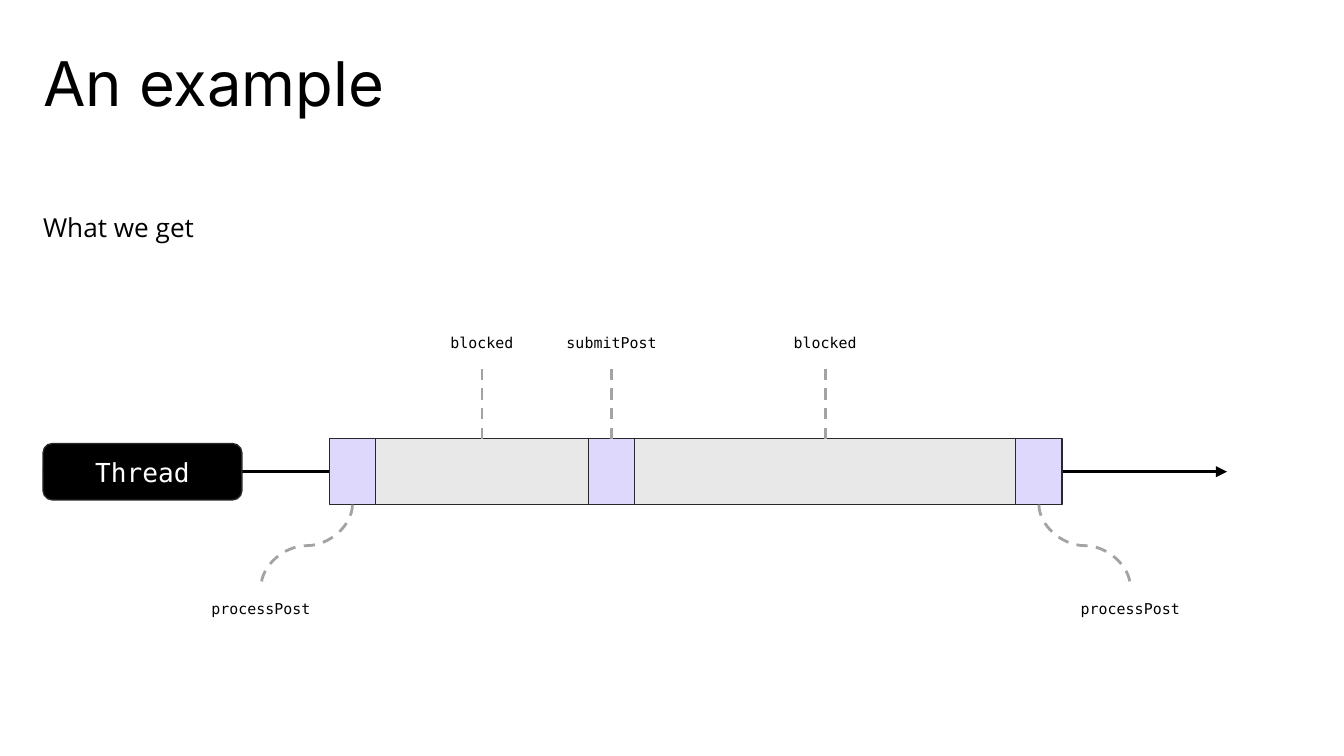
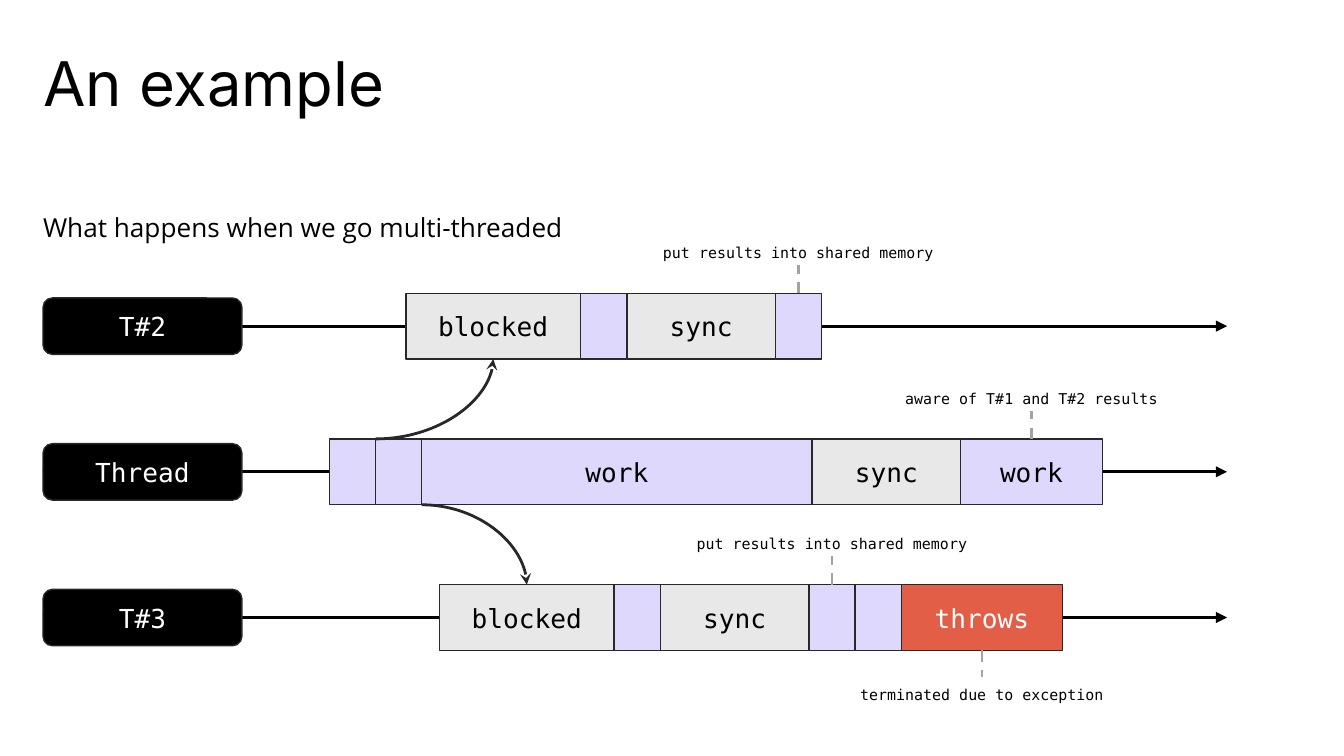
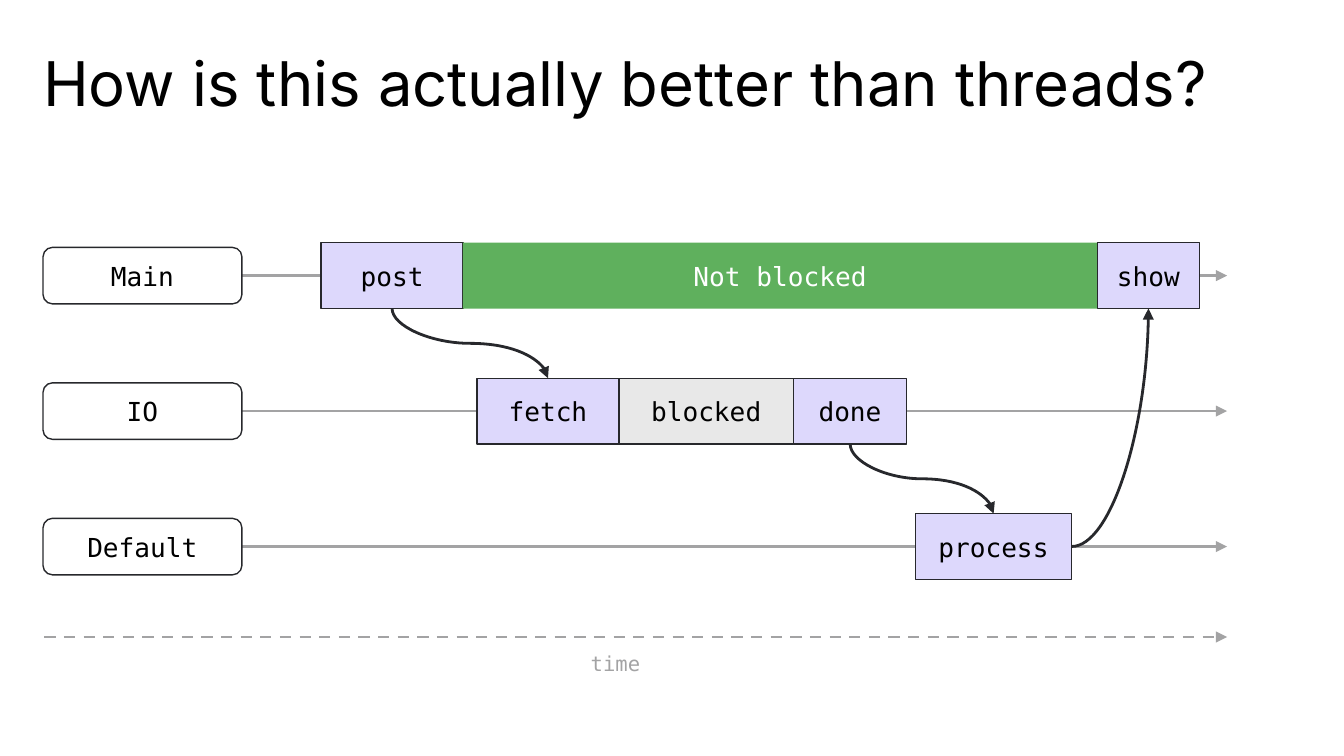
from dataclasses import dataclass

from lxml.etree import SubElement
from pptx import Presentation
from pptx.dml.color import RGBColor
from pptx.enum.dml import MSO_LINE
from pptx.enum.shapes import MSO_CONNECTOR, MSO_SHAPE
from pptx.enum.text import MSO_ANCHOR, MSO_AUTO_SIZE, PP_ALIGN
from pptx.oxml.ns import qn
from pptx.util import Inches, Pt

COLORS = {"ink": "000000", "paper": "FFFFFF", "edge": "27282C", "grey": "A3A3A4",
          "lilac": "DDD8FC", "mist": "E8E8E8", "red": "E35E47", "green": "5FB05D"}
MONO, HEAD, BODY = "DejaVu Sans Mono", "Inter", "Open Sans"

# Square grid: 100 columns across the slide, rows of the same size
CELL = Inches(10) / 100
LEFT, LANE_W, LANE_H = 3.2, 88.1, 4.9
NAME_W, NAME_H = 14.8, 4.2
TICK, SYNC, CALL, BLOCKED = 3.44, 11.05, 10.55, 13

# Kind of work: fill, text colour, outline
KINDS = {"run": ("lilac", "ink", "edge"), "wait": ("mist", "ink", "edge"),
         "fail": ("red", "paper", "edge"), "free": ("green", "paper", None)}
# Lane theme: name fill, name text, line
DARK, LIGHT = ("ink", "paper", "ink"), ("paper", "ink", "grey")


@dataclass
class Box:
    x: float
    y: float
    w: float
    h: float

    @property
    def cx(self):
        return self.x + self.w / 2

    @property
    def cy(self):
        return self.y + self.h / 2

    @property
    def right(self):
        return self.x + self.w

    @property
    def bottom(self):
        return self.y + self.h

    def emu(self):
        return [grid(v) for v in (self.x, self.y, self.w, self.h)]


@dataclass
class NoteStyle:
    stem: float
    w: float
    h: float
    pads: tuple = (1, 1, 1, 1)
    spacing: float = 1
    below: bool = False
    shift: float = 0


def grid(n):
    return round(n * CELL)


def rgb(name):
    return RGBColor.from_string(COLORS[name])


def write(shape, text, size, color, font=MONO, align=PP_ALIGN.CENTER,
          anchor=MSO_ANCHOR.TOP, pads=(1, 1, 1, 1), spacing=1):
    tf = shape.text_frame
    tf.word_wrap = True
    tf.auto_size = MSO_AUTO_SIZE.NONE
    tf.vertical_anchor = anchor
    tf.margin_left, tf.margin_top, tf.margin_right, tf.margin_bottom = map(grid, pads)
    p = tf.paragraphs[0]
    p.alignment, p.line_spacing = align, spacing
    r = p.add_run()
    r.text = text
    r.font.size, r.font.name, r.font.color.rgb = Pt(size), font, rgb(color)
    return p


def text_box(s, box, text, size, color="ink", **style):
    return write(s.shapes.add_textbox(*box.emu()), text, size, color, **style)


def block(s, box, text, fill, color, edge="edge", kind=MSO_SHAPE.RECTANGLE):
    sp = s.shapes.add_shape(kind, *box.emu())
    sp.shadow.inherit = False
    sp.fill.solid()
    sp.fill.fore_color.rgb = rgb(fill)
    if edge:
        sp.line.color.rgb, sp.line.width = rgb(edge), Pt(0.75)
    else:
        sp.line.fill.background()
    if text:
        write(sp, text, 14, color, anchor=MSO_ANCHOR.MIDDLE)


def line(s, start, end, color, kind=MSO_CONNECTOR.STRAIGHT, dash=False, tail=None):
    c = s.shapes.add_connector(kind, *[grid(v) for v in (*start, *end)])
    c.line.color.rgb, c.line.width = rgb(color), Pt(1.5)
    if dash:
        c.line.dash_style = MSO_LINE.DASH
    props = c._element.spPr
    if tail:
        SubElement(props.find(qn("a:ln")), qn("a:tailEnd"), type=tail)
    SubElement(props, qn("a:effectLst"))
    return props


def s_curve(s, start, end, color, **style):
    """S-shaped connector that leaves and arrives vertically, going down."""
    (x1, y1), (x2, y2) = start, end
    cx, cy = (x1 + x2) / 2, (y1 + y2) / 2
    half_w, half_h = (y2 - y1) / 2, abs(x2 - x1) / 2
    side = 1 if x2 > x1 else -1
    props = line(s, (cx + side * half_w, cy - half_h), (cx - side * half_w, cy + half_h),
                 color, MSO_CONNECTOR.CURVE, **style)
    props.find(qn("a:xfrm")).set("rot", str((270 if side > 0 else 90) * 60000))


def quarter_curve(s, start, end, tail):
    """Connector that leaves sideways and arrives vertically."""
    props = line(s, start, end, "edge", MSO_CONNECTOR.CURVE, tail=tail)
    props.find(qn("a:prstGeom")).set("prst", "curvedConnector2")


def lane(s, box, name, theme, start, steps):
    """Named timeline with touching blocks; returns the boxes of the blocks."""
    fill, color, stroke = theme
    line(s, (box.x + NAME_W, box.cy), (box.right, box.cy), stroke, tail="triangle")
    block(s, Box(box.x, box.cy - NAME_H / 2, NAME_W, NAME_H), name, fill, color,
          kind=MSO_SHAPE.ROUNDED_RECTANGLE)
    boxes, x = [], box.x + start
    for kind, width, text in steps:
        boxes.append(Box(x, box.y, width, box.h))
        block(s, boxes[-1], text, *KINDS[kind])
        x += width
    return boxes


def lanes(s, top, step, theme, rows):
    return [lane(s, Box(LEFT, top + i * step, LANE_W, LANE_H), name, theme, start, steps)
            for i, (name, start, steps) in enumerate(rows)]


def note(s, target, text, style):
    """Small label joined to a block by a dashed stem."""
    edge = target.bottom if style.below else target.y
    tip = edge + style.stem if style.below else edge - style.stem
    x = target.cx + style.shift
    draw = s_curve if style.shift else line
    draw(s, (target.cx, edge), (x, tip), "grey", dash=True)
    top = tip if style.below else tip - style.h
    text_box(s, Box(x - style.w / 2, top, style.w, style.h), text, 8,
             pads=style.pads, spacing=style.spacing)


def new_slide(prs, title, subtitle=None):
    s = prs.slides.add_slide(prs.slide_layouts[5])
    sp = s.shapes.title
    sp.left, sp.top, sp.width, sp.height = Box(LEFT, 3.2, 93, 5).emu()
    write(sp, title, 33, "ink", HEAD, PP_ALIGN.LEFT, pads=(0, 1, 0, 1), spacing=0.85)
    if subtitle:
        p = text_box(s, Box(LEFT, 14.6, 91.1, 5.9), subtitle, 14, font=BODY,
                     align=PP_ALIGN.LEFT, pads=(0, 0.8, 0, 0), spacing=1.15)
        p.space_after = Pt(4)
    return s


def single_thread_slide(prs):
    s = new_slide(prs, "An example", "What we get")
    tick = ("run", TICK, "")
    [blocks] = lanes(s, 32.65, 0, DARK, [
        ("Thread", 21.3, [tick, ("wait", 15.85, ""), tick, ("wait", 28.35, ""), tick])])
    above = NoteStyle(5.4, 9.2, 3.4)
    for target, text in zip(blocks[1:4], ("blocked", "submitPost", "blocked")):
        note(s, target, text, above)
    for target, shift in ((blocks[0], -6.8), (blocks[-1], 6.8)):
        note(s, target, "processPost", NoteStyle(6.1, 10.1, 3.4, below=True, shift=shift))


def multi_thread_slide(prs):
    s = new_slide(prs, "An example", "What happens when we go multi-threaded")
    tick, sync = ("run", TICK, ""), ("wait", SYNC, "sync")
    blocked = ("wait", BLOCKED, "blocked")
    second, main, third = lanes(s, 21.82, 10.84, DARK, [
        ("T#2", 27, [blocked, tick, sync, tick]),
        ("Thread", 21.3, [tick, tick, ("run", 29.05, "work"), sync, ("run", CALL, "work")]),
        ("T#3", 29.5, [blocked, tick, sync, tick, tick, ("fail", 12, "throws")])])

    above = NoteStyle(2.1, 27.5, 2.8, (1, 1, 1, 0.4), 1.15)
    below = NoteStyle(2, 27.5, 2.2, (1, 0.4, 1, 0.4), 1.15, below=True)
    note(s, second[3], "put results into shared memory", above)
    note(s, main[4], "aware of T#1 and T#2 results", above)
    note(s, third[3], "put results into shared memory", above)
    note(s, third[5], "terminated due to exception", below)

    # Starts of the two extra threads
    quarter_curve(s, (main[1].x, main[1].y), (second[0].cx, second[0].bottom), "stealth")
    quarter_curve(s, (main[2].x, main[2].bottom), (third[0].cx, third[0].y), "stealth")


def dispatcher_slide(prs):
    s = new_slide(prs, "How is this actually better than threads?")
    main, io_lane, default = lanes(s, 18.06, 10.08, LIGHT, [
        ("Main", 20.7, [("run", CALL, "post"), ("free", 47.2, "Not blocked"),
                        ("run", 7.6, "show")]),
        ("IO", 32.3, [("run", CALL, "fetch"), ("wait", BLOCKED, "blocked"),
                      ("run", 8.4, "done")]),
        ("Default", 64.9, [("run", 11.65, "process")])])

    # Hand-overs between lanes
    for source, target in ((main[0], io_lane[0]), (io_lane[2], default[0])):
        s_curve(s, (source.cx, source.bottom), (target.cx, target.y), "edge",
                tail="triangle")
    quarter_curve(s, (default[0].right, default[0].cy), (main[2].cx, main[2].bottom),
                  "triangle")

    # Time axis
    line(s, (LEFT + 0.1, 47.4), (LEFT + LANE_W, 47.4), "grey", dash=True, tail="triangle")
    text_box(s, Box(42.6, 47.4, 6.4, 3.9), "time", 11, "grey")


def main():
    prs = Presentation()
    prs.slide_width, prs.slide_height = Inches(10), Inches(5.625)
    single_thread_slide(prs)
    multi_thread_slide(prs)
    dispatcher_slide(prs)
    prs.save("out.pptx")


if __name__ == "__main__":
    main()
